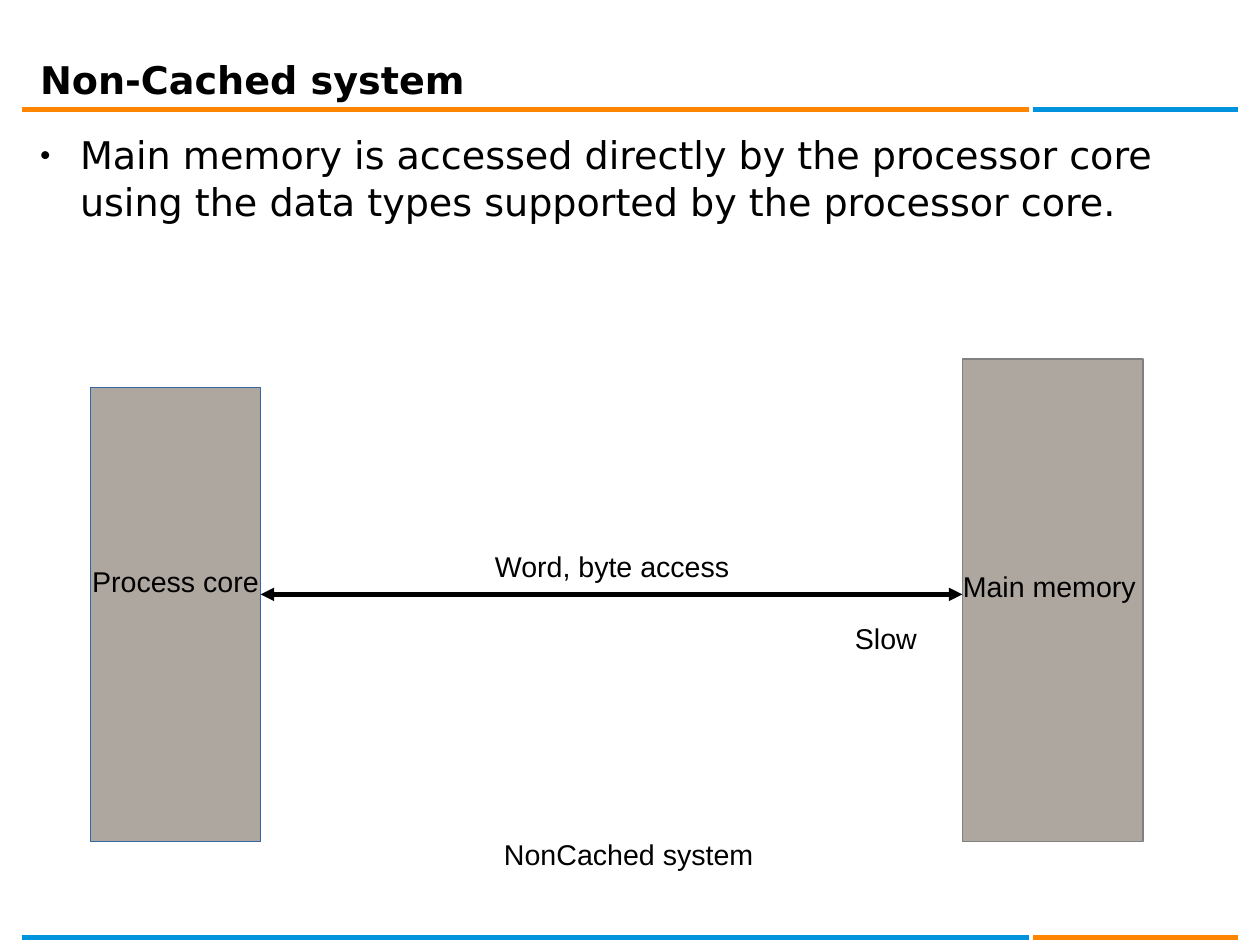
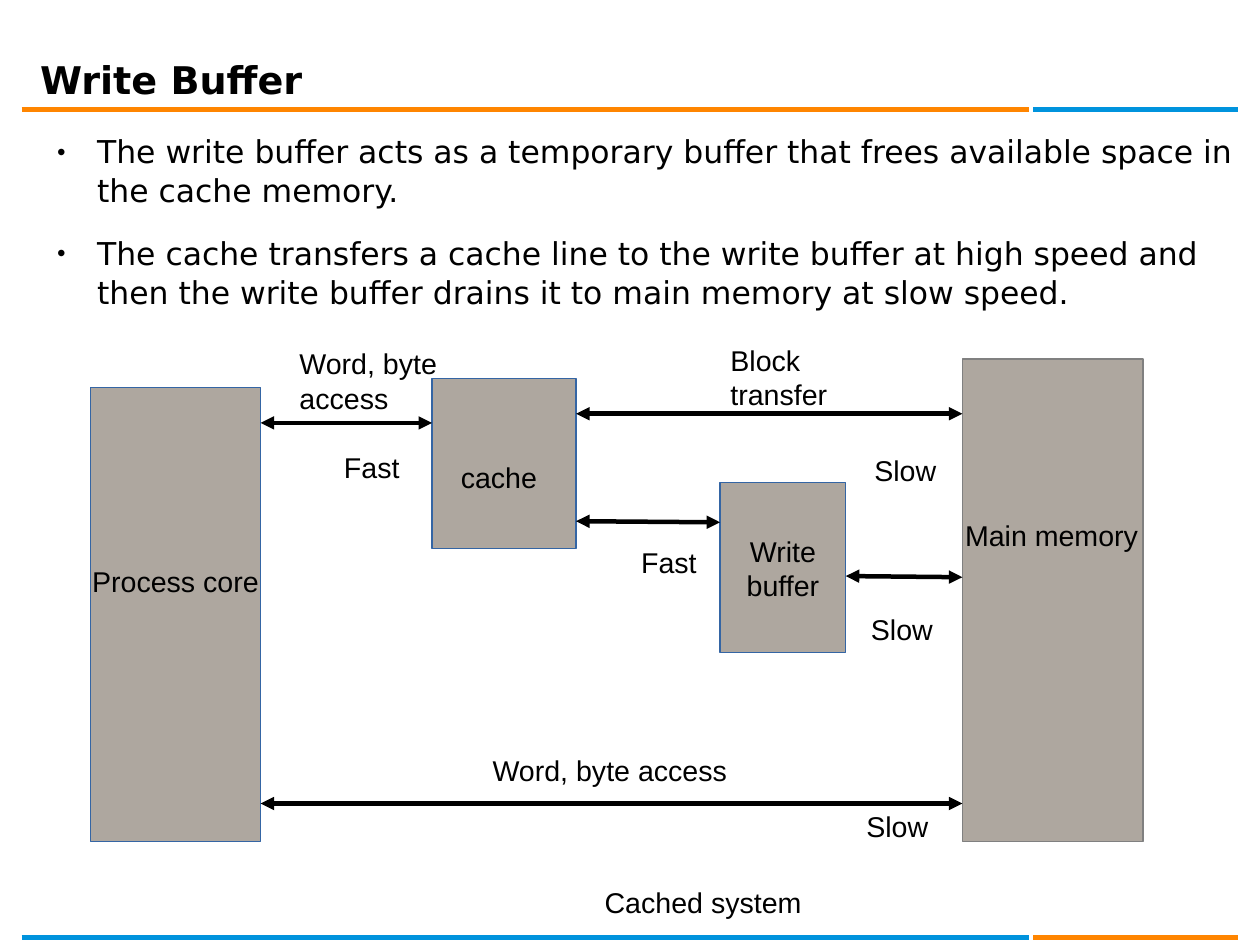
"""Build two slides comparing a non-cached system with a write buffer."""
from lxml import etree
from pptx import Presentation
from pptx.dml.color import RGBColor
from pptx.enum.shapes import MSO_CONNECTOR as Connector, MSO_SHAPE as Shape
from pptx.enum.text import MSO_ANCHOR as Anchor, MSO_AUTO_SIZE as AutoSize, PP_ALIGN as Align
from pptx.oxml.ns import qn
from pptx.util import Inches, Pt

ORANGE, BLUE, BLACK = "FF8500", "0093DD", "000000"
BOX_FILL, BOX_BLUE, BOX_GREY = "AEA79F", "3465A4", "808080"
HEADING_FONT, LABEL_FONT = "DejaVu Sans", "Arial"
LINE_PITCH = 1.235
BULLET_INDENT = 0.35

CORE_LEFT, CORE_RIGHT = 0.79, 2.28
CACHE_LEFT, CACHE_RIGHT = 3.78, 5.04
BUFFER_LEFT, BUFFER_RIGHT = 6.3, 7.4
MEMORY_LEFT, MEMORY_RIGHT = 8.42, 10
BOTTOM = 7.36

core_box = ("Process core", CORE_LEFT, 3.39, CORE_RIGHT, BOTTOM, BOX_BLUE, 4.93, 0)

SLIDES = [
    {
        "title": "Non-Cached system",
        "body_left": 0.35,
        "body_top": 1.14,
        "body_size": 24,
        "bullets": ["Main memory is accessed directly by the processor core "
                    "using the data types supported by the processor core."],
        "boxes": [
            core_box,
            ("Main memory", MEMORY_LEFT, 3.14, MEMORY_RIGHT, BOTTOM, BOX_GREY, 4.98, 0.06),
        ],
        "labels": [
            ("Word, byte access", 4.33, 4.8, 2.2),
            ("Slow", 7.48, 5.43, 0.7),
            ("NonCached system", 4.41, 7.32, 2.4),
        ],
        "arrows": [(CORE_RIGHT, 5.2, MEMORY_LEFT, 5.2)],
    },
    {
        "title": "Write Buffer",
        "body_left": 0.5,
        "body_top": 1.15,
        "body_size": 19.8,
        "bullets": [
            "The write buffer acts as a temporary buffer that frees available space in "
            "the cache memory.",
            "The cache transfers a cache line to the write buffer at high speed and "
            "then the write buffer drains it to main memory at slow speed.",
        ],
        "boxes": [
            core_box,
            ("Main memory", MEMORY_LEFT, 3.14, MEMORY_RIGHT, BOTTOM, BOX_GREY, 4.53, 0.02),
            ("cache", CACHE_LEFT, 3.31, CACHE_RIGHT, 4.8, BOX_BLUE, 4.02, 0.09),
            ("Write buffer", BUFFER_LEFT, 4.22, BUFFER_RIGHT, 5.71, BOX_BLUE, 4.67, 0),
        ],
        "labels": [
            ("Word, byte access", 2.62, 3.03, 1.3),
            ("Fast", 3.01, 3.94, 0.7),
            ("Block transfer", 6.39, 3, 0.95),
            ("Slow", 7.65, 3.96, 0.7),
            ("Fast", 5.61, 4.77, 0.7),
            ("Slow", 7.62, 5.35, 0.7),
            ("Word, byte access", 4.31, 6.59, 2.2),
            ("Slow", 7.58, 7.08, 0.7),
            ("Cached system", 5.29, 7.74, 2),
        ],
        "arrows": [
            (CACHE_RIGHT, 3.62, MEMORY_LEFT, 3.62),
            (CORE_RIGHT, 3.7, CACHE_LEFT, 3.7),
            (CORE_RIGHT, 7.03, MEMORY_LEFT, 7.03),
            (BUFFER_RIGHT, 5.04, MEMORY_LEFT, 5.05),
            (CACHE_RIGHT, 4.56, BUFFER_LEFT, 4.57),
        ],
    },
]


def write_text(frame, text, size, font, paragraph=None, bold=False):
    """Add one run to a frame that wraps and has no insets."""
    frame.word_wrap = True
    frame.auto_size = AutoSize.NONE
    frame.vertical_anchor = Anchor.TOP
    frame.margin_left = frame.margin_right = frame.margin_top = frame.margin_bottom = 0
    paragraph = paragraph or frame.paragraphs[0]
    paragraph.alignment = Align.LEFT
    run = paragraph.add_run()
    run.text = text
    run.font.size = Pt(size)
    run.font.name = font
    run.font.bold = bold
    run.font.color.rgb = RGBColor.from_string(BLACK)
    return paragraph


def add_line(slide, x1, y1, x2, y2, color, width):
    """Draw a straight line without a shadow."""
    connector = slide.shapes.add_connector(
        Connector.STRAIGHT, Inches(x1), Inches(y1), Inches(x2), Inches(y2))
    connector.line.color.rgb = RGBColor.from_string(color)
    connector.line.width = Pt(width)
    etree.SubElement(connector.element.spPr, qn("a:effectLst"))
    return connector


presentation = Presentation()
presentation.slide_width = Inches(28 / 2.54)
presentation.slide_height = Inches(21 / 2.54)
layout = presentation.slide_layouts[5]

for content in SLIDES:
    slide = presentation.slides.add_slide(layout)

    for y, long_color, short_color in ((0.96, ORANGE, BLUE), (8.2, BLUE, ORANGE)):
        add_line(slide, 0.19, y, 9, y, long_color, 2.98)
        add_line(slide, 9.04, y, 10.83, y, short_color, 2.98)

    title = slide.shapes.title
    title.left, title.top = Inches(0.35), Inches(0.48)
    title.width, title.height = Inches(10.3), Inches(0.41)
    paragraph = write_text(title.text_frame, content["title"], 24, HEADING_FONT, bold=True)
    paragraph.line_spacing = Pt(24 * LINE_PITCH)

    left, top, size = content["body_left"], content["body_top"], content["body_size"]
    body = slide.shapes.add_textbox(Inches(left), Inches(top), Inches(11 - left), Inches(1.6))
    for index, text in enumerate(content["bullets"]):
        frame = body.text_frame
        paragraph = frame.add_paragraph() if index else frame.paragraphs[0]
        properties = paragraph._p.get_or_add_pPr()
        properties.set("marL", str(Inches(BULLET_INDENT)))
        properties.set("indent", str(-Inches(BULLET_INDENT)))
        for tag, name, value in (("a:buSzPct", "val", "45000"),
                                 ("a:buFont", "typeface", "Calibri"),
                                 ("a:buChar", "char", "●")):
            etree.SubElement(properties, qn(tag)).set(name, value)
        write_text(frame, text, size, HEADING_FONT, paragraph)
        paragraph.line_spacing = Pt(size * LINE_PITCH)
        if index:
            paragraph.space_before = Pt(15)

    for text, left, top, right, bottom, outline, text_top, right_gap in content["boxes"]:
        box = slide.shapes.add_shape(
            Shape.RECTANGLE, Inches(left), Inches(top), Inches(right - left), Inches(bottom - top))
        box.shadow.inherit = False
        box.fill.solid()
        box.fill.fore_color.rgb = RGBColor.from_string(BOX_FILL)
        box.line.color.rgb = RGBColor.from_string(outline)
        box.line.width = Pt(0)
        paragraph = write_text(box.text_frame, text, 18, LABEL_FONT)
        paragraph.alignment = Align.CENTER
        box.text_frame.margin_top = Inches(text_top - top)
        box.text_frame.margin_right = Inches(right_gap)

    for text, left, top, width in content["labels"]:
        label = slide.shapes.add_textbox(Inches(left), Inches(top), Inches(width), Inches(0.29))
        write_text(label.text_frame, text, 18, LABEL_FONT)

    for ends in content["arrows"]:
        arrow = add_line(slide, *ends, BLACK, 2.83)
        line = arrow.line._get_or_add_ln()
        for tag in ("a:headEnd", "a:tailEnd"):
            etree.SubElement(line, qn(tag)).set("type", "triangle")

presentation.save("out.pptx")
